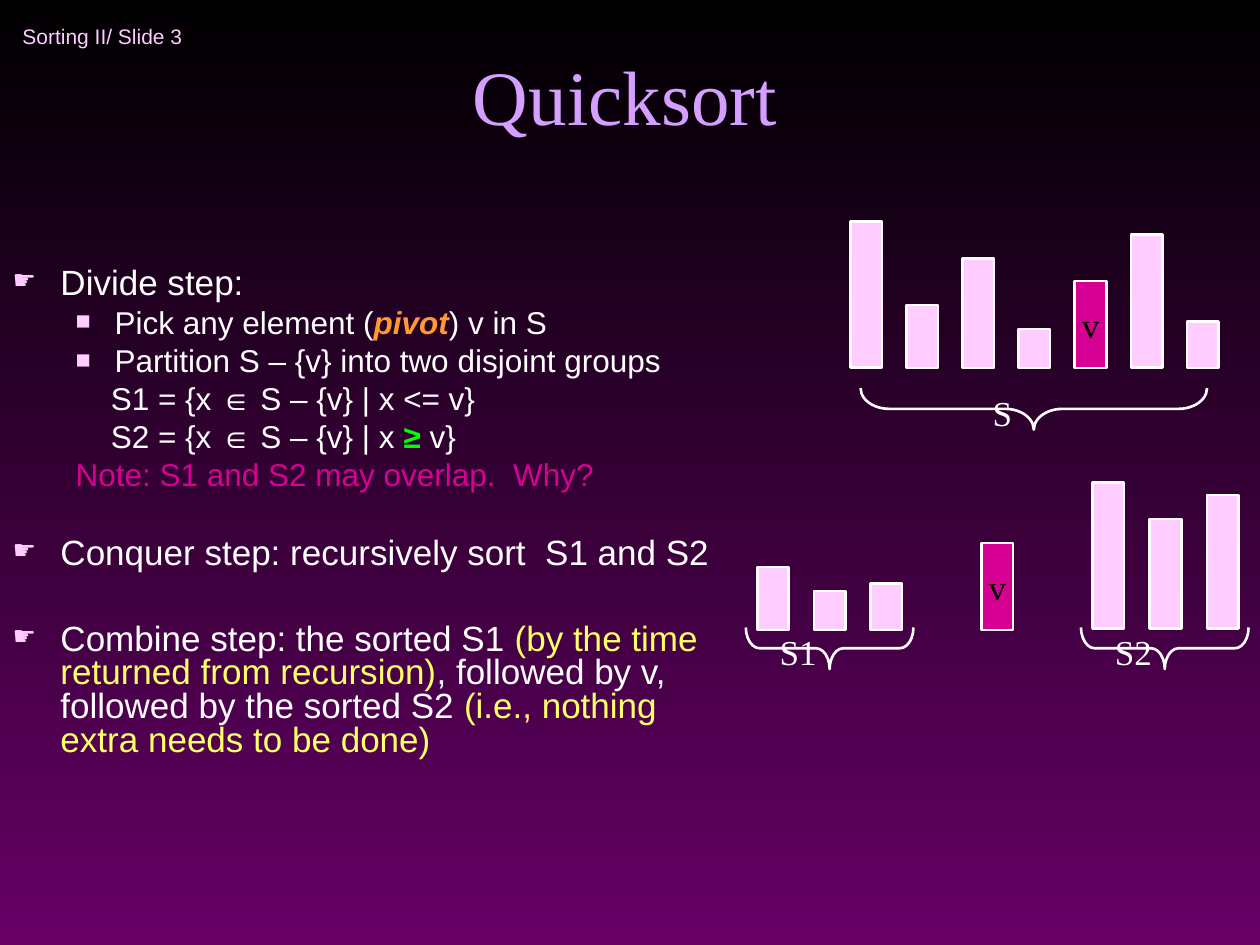
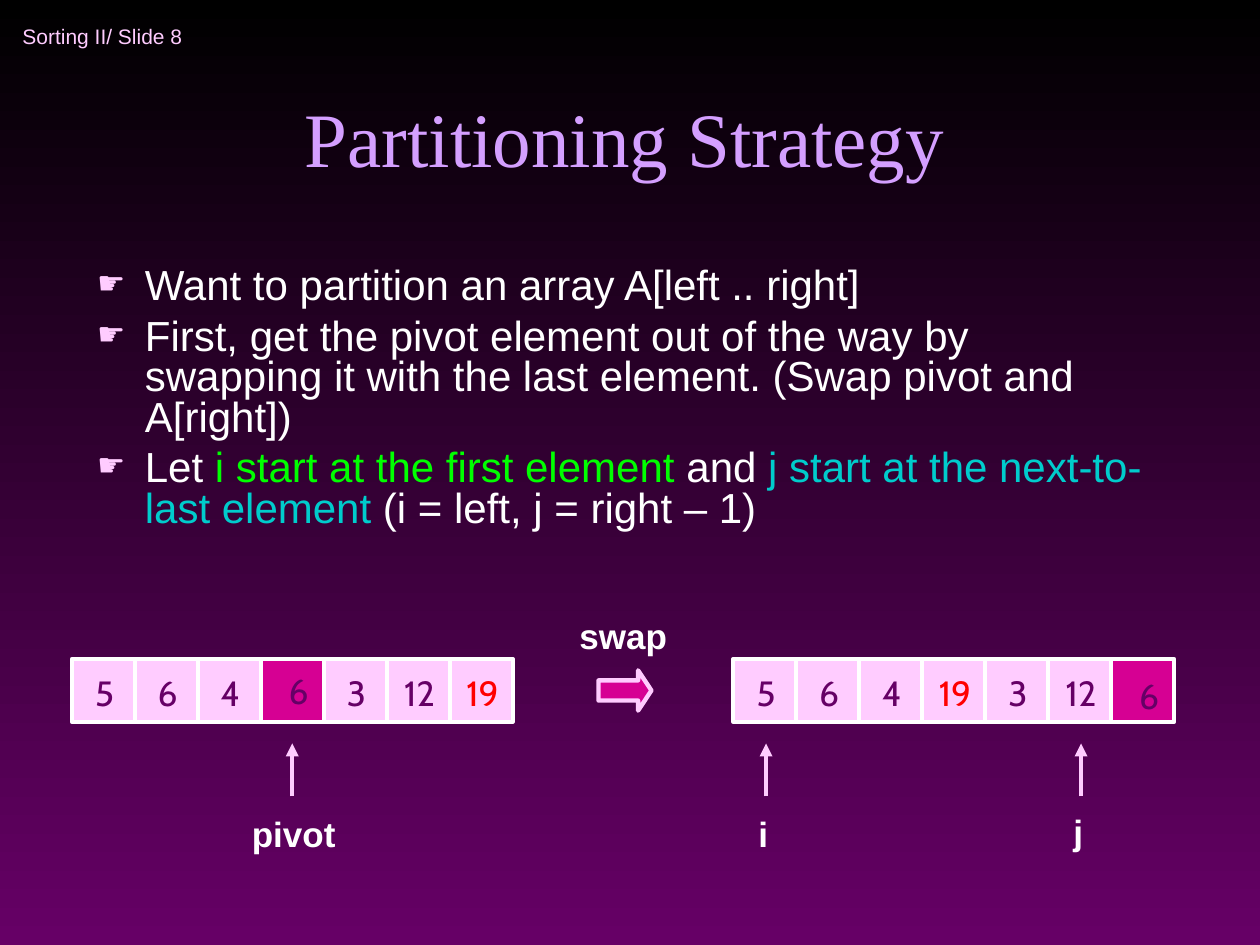
from typing import NamedTuple

from lxml import etree
from pptx import Presentation
from pptx.dml.color import RGBColor
from pptx.enum import shapes, text
from pptx.oxml import ns
from pptx.util import Inches, Pt

BLACK = RGBColor(0x00, 0x00, 0x00)
WHITE = RGBColor(0xFF, 0xFF, 0xFF)
PURPLE = RGBColor(0x66, 0x00, 0x66)
LILAC = RGBColor(0xD4, 0x9F, 0xFF)
PINK = RGBColor(0xFF, 0xCC, 0xFF)
MAGENTA = RGBColor(0xD6, 0x00, 0x93)
ORANGE = RGBColor(0xFF, 0x99, 0x33)
YELLOW = RGBColor(0xFF, 0xFF, 0x66)
GREEN = RGBColor(0x00, 0xFF, 0x00)
TEAL = RGBColor(0x00, 0xCC, 0xCC)
RED = RGBColor(0xFF, 0x00, 0x00)

SANS, SERIF, NUMERALS = "Arial", "Times New Roman", "Cabin"
CENTER, LEFT = text.PP_ALIGN.CENTER, text.PP_ALIGN.LEFT
TOP, MIDDLE, BOTTOM = (text.MSO_ANCHOR.TOP, text.MSO_ANCHOR.MIDDLE,
                       text.MSO_ANCHOR.BOTTOM)
SHAPE = shapes.MSO_SHAPE
PADDING = (0.1, 0.05, 0.1, 0.05)
BAR_WIDTH = 0.25
CELL_SIZE = 0.5
CELL_TOP = 5.23


class Run(NamedTuple):
    text: str
    color: RGBColor = WHITE
    bold: bool = False
    italic: bool = False


class ListStyle(NamedTuple):
    level: int
    margin: float
    indent: float
    bullet: str = ""
    bullet_percent: int = 0


class Item(NamedTuple):
    style: ListStyle
    size: float
    space_before: float
    runs: list[Run]


class BarGroup(NamedTuple):
    left: float
    pitch: float
    bottom: float
    heights: list[float]


class Brace(NamedTuple):
    label: str
    left: float
    top: float
    width: float
    curl: float


class Cell(NamedTuple):
    number: str
    color: RGBColor = PURPLE
    fill: RGBColor = PINK
    shift: tuple[float, float] = (0.01, 0.02)


class Marker(NamedTuple):
    label: str
    arrow_x: float
    left: float
    top: float
    width: float


TOPIC = ListStyle(0, 0.38, -0.38, "☛", 75)
DETAIL = ListStyle(1, 0.81, -0.31, "■", 80)
FORMULA = ListStyle(1, 0.78, 0)
NOTE = ListStyle(1, 0.5, 0)

QUICKSORT_STEPS = [
    Item(TOPIC, 20, 0, [Run("Divide step:")]),
    Item(DETAIL, 18, 4.5, [Run("Pick any element ("), Run("pivot", ORANGE, True, True),
                           Run(") v in S")]),
    Item(DETAIL, 18, 4.5, [Run("Partition S – {v} into two disjoint groups")]),
    Item(FORMULA, 18, 4.5, [Run("S1 = {x ∈ S – {v} | x <= v}")]),
    Item(FORMULA, 18, 4.5, [Run("S2 = {x ∈ S – {v} | x "), Run("≥", GREEN, True),
                            Run(" v}")]),
    Item(NOTE, 18, 4.5, [Run("Note: S1 and S2 may overlap.  Why?", MAGENTA)]),
    Item(TOPIC, 20, 26, [Run("Conquer step: recursively sort  S1 and S2")]),
    Item(TOPIC, 20, 30, [Run("Combine step: the sorted S1 "),
                         Run("(by the time returned from recursion)", YELLOW),
                         Run(", followed by v, followed by the sorted S2 "),
                         Run("(i.e., nothing extra needs to be done)", YELLOW)]),
]
PARTITION_STEPS = [
    Item(TOPIC, 24, 0, [Run("Want to partition an array A[left .. right]")]),
    Item(TOPIC, 24, 6, [Run("First, get the pivot element out of the way by swapping it "
                            "with the last element. (Swap pivot and A[right])")]),
    Item(TOPIC, 24, 6, [Run("Let "), Run("i start at the first element", GREEN),
                        Run(" and "), Run("j start at the next-to-last element", TEAL),
                        Run(" (i = left, j = right – 1)")]),
]

PIVOT_HEIGHT = 0.69
BAR_GROUPS = [
    BarGroup(6.75, 0.445, 2.92, [1.16, 0.5, 0.87, 0.31, PIVOT_HEIGHT, 1.06, 0.37]),
    BarGroup(6.01, 0.45, 5, [0.5, 0.31, 0.37]),
    BarGroup(7.79, 0, 5, [PIVOT_HEIGHT]),
    BarGroup(8.67, 0.455, 4.99, [1.16, 0.87, 1.06]),
]
BRACES = [
    Brace("S1", 5.92, 4.98, 1.33, 0.33),
    Brace("S2", 8.58, 4.98, 1.33, 0.33),
    Brace("S", 6.83, 3.08, 2.75, 0.69),
]

LAST = Cell("19", RED)
BEFORE_SWAP = [Cell("5"), Cell("6"), Cell("4"), Cell("6", fill=MAGENTA, shift=(0.05, 0)),
               Cell("3"), Cell("12"), LAST]
AFTER_SWAP = [*BEFORE_SWAP[:3], LAST, *BEFORE_SWAP[4:6],
              Cell("6", fill=MAGENTA, shift=(0.05, 0.04))]
MARKERS = [
    Marker("pivot", 2.32, 1.9, 6.4, 0.92),
    Marker("i", 6.08, 5.92, 6.4, 0.33),
    Marker("j", 8.58, 8.42, 6.38, 0.42),
]


def write_runs(paragraph, runs: list[Run], *, size: float, font: str = SANS,
               align=LEFT) -> None:
    paragraph.alignment = align
    for part in runs:
        run = paragraph.add_run()
        run.text = part.text
        run.font.name, run.font.size = font, Pt(size)
        run.font.bold, run.font.italic = part.bold, part.italic
        run.font.color.rgb = part.color


def format_frame(frame, *, anchor=TOP, insets=PADDING, wrap: bool = True) -> None:
    frame.auto_size = text.MSO_AUTO_SIZE.NONE
    frame.word_wrap = wrap
    frame.vertical_anchor = anchor
    (frame.margin_left, frame.margin_top,
     frame.margin_right, frame.margin_bottom) = map(Inches, insets)


def write_text(shape, content: str, *, color: RGBColor = WHITE, size: float = 20,
               font: str = SANS, bold: bool = False, align=LEFT, anchor=TOP,
               insets=PADDING, wrap: bool = True) -> None:
    format_frame(shape.text_frame, anchor=anchor, insets=insets, wrap=wrap)
    write_runs(shape.text_frame.paragraphs[0], [Run(content, color, bold)],
               size=size, font=font, align=align)


def add_label(slide, content: str, left: float, top: float, width: float,
              height: float, **formatting) -> None:
    box = slide.shapes.add_textbox(*map(Inches, (left, top, width, height)))
    write_text(box, content, **formatting)


def add_figure(slide, kind, left: float, top: float, width: float, height: float, *,
               fill: RGBColor | None = None, line: RGBColor = WHITE,
               weight: float = 1.5):
    shape = slide.shapes.add_shape(kind, *map(Inches, (left, top, width, height)))
    shape.shadow.inherit = False
    if fill is None:
        shape.fill.background()
    else:
        shape.fill.solid()
        shape.fill.fore_color.rgb = fill
    shape.line.color.rgb = line
    shape.line.width = Pt(weight)
    return shape


def place(shape, left: float, top: float, width: float, height: float) -> None:
    shape.left, shape.top, shape.width, shape.height = map(
        Inches, (left, top, width, height))


def set_list_style(paragraph, style: ListStyle) -> None:
    paragraph.level = style.level
    properties = paragraph._p.get_or_add_pPr()
    properties.set("marL", str(Inches(style.margin)))
    properties.set("indent", str(Inches(style.indent)))
    if not style.bullet:
        etree.SubElement(properties, ns.qn("a:buNone"))
        return
    color = etree.SubElement(properties, ns.qn("a:buClr"))
    etree.SubElement(color, ns.qn("a:srgbClr"), val=str(PINK))
    etree.SubElement(properties, ns.qn("a:buSzPct"), val=str(style.bullet_percent * 1000))
    etree.SubElement(properties, ns.qn("a:buChar"), char=style.bullet)


def fill_body(body, items: list[Item]) -> None:
    frame = body.text_frame
    format_frame(frame)
    for index, item in enumerate(items):
        paragraph = frame.add_paragraph() if index else frame.paragraphs[0]
        set_list_style(paragraph, item.style)
        paragraph.line_spacing = 0.8
        paragraph.space_before = Pt(item.space_before)
        write_runs(paragraph, item.runs, size=item.size)


def add_lecture_slide(presentation, number: int, title: str, title_height: float,
                      body_area: tuple[float, float, float, float], items: list[Item]):
    slide = presentation.slides.add_slide(presentation.slide_layouts[1])
    add_label(slide, f"Sorting II/ Slide {number}", 0.08, 0.08, 2.75, 0.42,
              color=PINK, size=12, anchor=MIDDLE, wrap=False)
    place(slide.shapes.title, 0.67, 0.25, 8.58, title_height)
    write_text(slide.shapes.title, title, color=LILAC, size=44, font=SERIF,
               align=CENTER, anchor=BOTTOM)
    body = slide.placeholders[1]
    place(body, *body_area)
    fill_body(body, items)
    return slide


def add_bars(slide, group: BarGroup) -> None:
    for index, height in enumerate(group.heights):
        is_pivot = height == PIVOT_HEIGHT
        bar = add_figure(slide, SHAPE.RECTANGLE, group.left + index * group.pitch,
                         group.bottom - height, BAR_WIDTH, height,
                         fill=MAGENTA if is_pivot else PINK)
        if is_pivot:
            write_text(bar, "v", color=BLACK, font=SERIF, align=CENTER,
                       anchor=MIDDLE, wrap=False)


def add_brace(slide, brace: Brace) -> None:
    """Draw a brace that points down: a left brace turned about its centre."""
    depth = 0.33
    center_x, center_y = brace.left + brace.width / 2, brace.top + depth / 2
    shape = add_figure(slide, SHAPE.LEFT_BRACE, center_x - depth / 2,
                       center_y - brace.width / 2, depth, brace.width)
    shape.adjustments[0], shape.adjustments[1] = brace.curl, 0.5
    shape.rotation = 270
    add_label(slide, brace.label, center_x - 0.5, brace.top, 0.5, 0.38, font=SERIF,
              align=CENTER, anchor=MIDDLE, insets=(0, 0, 0, 0))


def add_array(slide, left: float, cells: list[Cell]) -> None:
    for index, cell in enumerate(cells):
        square = add_figure(slide, SHAPE.RECTANGLE, left + index * CELL_SIZE, CELL_TOP,
                            CELL_SIZE, CELL_SIZE, fill=cell.fill, weight=2.25)
        right, down = cell.shift
        write_text(square, cell.number, color=cell.color, font=NUMERALS, align=CENTER,
                   anchor=MIDDLE, insets=(2 * right, 2 * down, 0, 0))


def add_marker(slide, marker: Marker) -> None:
    x = Inches(marker.arrow_x)
    arrow = slide.shapes.add_connector(shapes.MSO_CONNECTOR.STRAIGHT,
                                       x, Inches(6.32), x, Inches(5.9))
    arrow.line.color.rgb = PINK
    arrow.line.width = Pt(2.5)
    etree.SubElement(arrow.line._get_or_add_ln(), ns.qn("a:tailEnd"), type="triangle")
    etree.SubElement(arrow._element.spPr, ns.qn("a:effectLst"))
    add_label(slide, marker.label, marker.left, marker.top, marker.width, 0.44, bold=True)


def set_background(presentation) -> None:
    fill = presentation.slide_master.background.fill
    fill.gradient()
    fill.gradient_angle = 270
    for stop, position, color in zip(fill.gradient_stops, (0, 1), (BLACK, PURPLE)):
        stop.position = position
        stop.color.rgb = color


def main() -> None:
    presentation = Presentation()
    presentation.slide_width, presentation.slide_height = Inches(10), Inches(7.5)
    set_background(presentation)

    quicksort = add_lecture_slide(presentation, 3, "Quicksort", 0.92,
                                  (0, 2.08, 6, 4.33), QUICKSORT_STEPS)
    for group in BAR_GROUPS:
        add_bars(quicksort, group)
    for brace in BRACES:
        add_brace(quicksort, brace)

    partition = add_lecture_slide(presentation, 8, "Partitioning Strategy", 1.25,
                                  (0.67, 2.08, 8.58, 2.25), PARTITION_STEPS)
    for marker in MARKERS:
        add_marker(partition, marker)
    swap_arrow = add_figure(partition, SHAPE.RIGHT_ARROW, 4.75, 5.32, 0.42, 0.32,
                            fill=MAGENTA, line=PINK, weight=2.5)
    swap_arrow.adjustments[0], swap_arrow.adjustments[1] = 0.5, 0.33
    add_array(partition, 0.57, BEFORE_SWAP)
    add_array(partition, 5.82, AFTER_SWAP)
    add_label(partition, "swap", 4.5, 4.83, 1.08, 0.44, bold=True)

    presentation.save("out.pptx")


if __name__ == "__main__":
    main()
